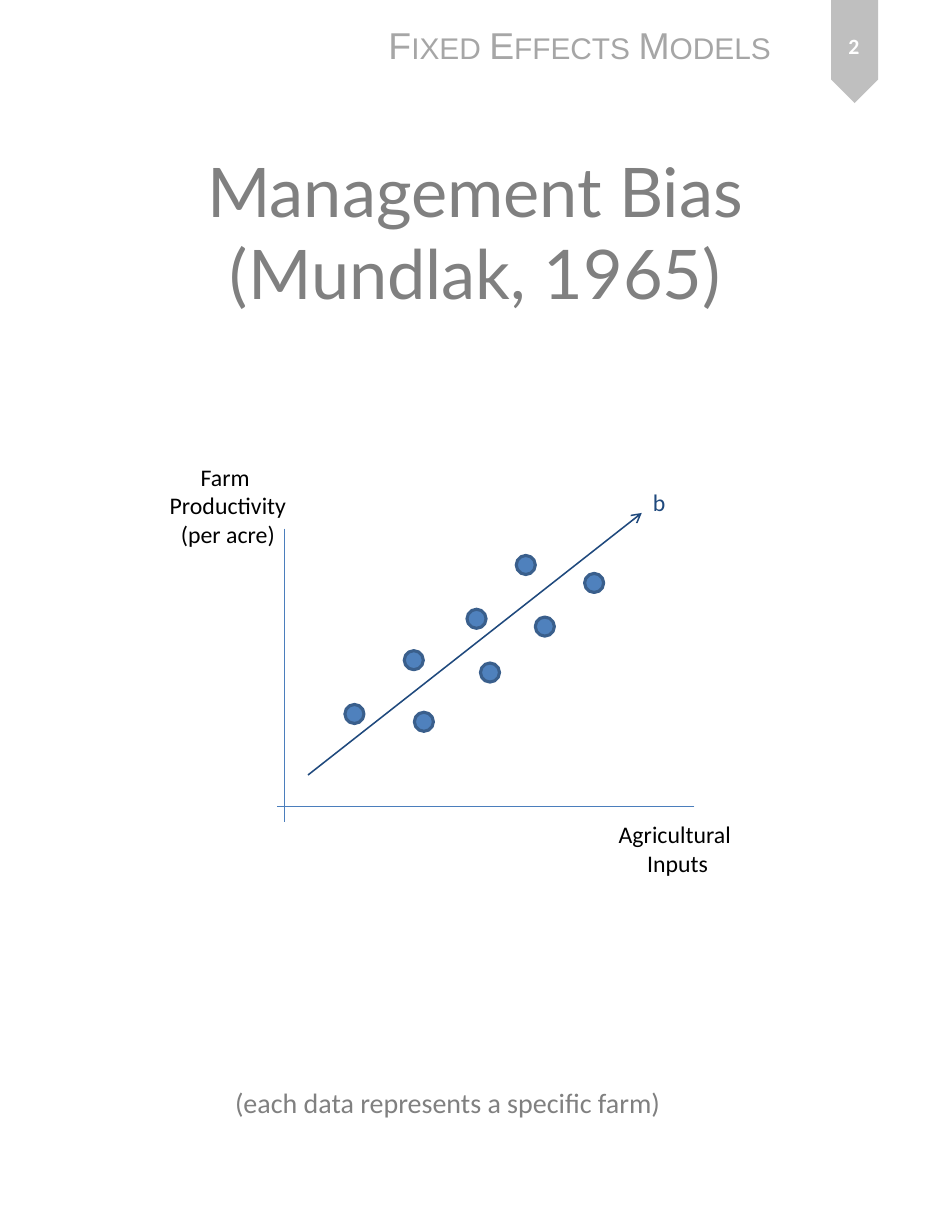
"""Build the Management Bias slide: a scatter of farms around a rising trend line."""
from lxml.etree import SubElement
from pptx import Presentation
from pptx.dml.color import RGBColor
from pptx.enum.shapes import MSO_CONNECTOR, MSO_SHAPE
from pptx.enum.text import MSO_ANCHOR, PP_ALIGN
from pptx.oxml.ns import qn
from pptx.util import Inches, Pt

COLORS = {
    "ribbon": "BFBFBF", "header": "A6A6A6", "heading": "808080", "axis": "4B7EBC",
    "trend": "1F497D", "dot": "4F81BD", "dot_edge": "3A5F8C", "label": "000000",
    "number": "FFFFFF",
}
DOT_SIZE = 0.17

deck = Presentation()
deck.slide_width, deck.slide_height = Inches(8.5), Inches(11)
slide = deck.slides.add_slide(deck.slide_layouts[6])


def color(name):
    return RGBColor.from_string(COLORS[name])


def add_text(text, left, top, width, height, *, size=15.3, font="Calibri", ink="label",
             align=PP_ALIGN.LEFT, anchor=MSO_ANCHOR.TOP, wrap=False, bold=False,
             small_caps=False):
    frame = slide.shapes.add_textbox(
        Inches(left), Inches(top), Inches(width), Inches(height)).text_frame
    frame.word_wrap = wrap
    frame.vertical_anchor = anchor
    frame.text = text
    for paragraph in frame.paragraphs:
        paragraph.alignment = align
        for run in paragraph.runs:
            run.font.size = Pt(size)
            run.font.name = font
            run.font.bold = bold
            run.font.color.rgb = color(ink)
            if small_caps:
                run.font._element.set("cap", "small")


ribbon = slide.shapes.add_shape(
    MSO_SHAPE.PENTAGON, Inches(7.17), Inches(0.25), Inches(0.92), Inches(0.42))
ribbon.rotation = 90
ribbon.shadow.inherit = False
ribbon.fill.solid()
ribbon.fill.fore_color.rgb = color("ribbon")
ribbon.line.fill.background()

add_text("Fixed Effects Models", 3.37, 0.15, 3.68, 0.5, size=24, font="Arial",
         ink="header", small_caps=True)
add_text("Management Bias (Mundlak, 1965)", 0.42, 1.15, 7.65, 1.83, size=44, font="Lato",
         ink="heading", align=PP_ALIGN.CENTER, anchor=MSO_ANCHOR.MIDDLE, wrap=True)
add_text("2", 7.29, 0.11, 0.67, 0.59, size=14, ink="number", bold=True,
         align=PP_ALIGN.CENTER, anchor=MSO_ANCHOR.MIDDLE, wrap=True)

for start_x, start_y, end_x, end_y, ink, weight in [
    (2.54, 4.72, 2.54, 7.34, "axis", 0.75),
    (6.2, 7.2, 2.47, 7.2, "axis", 0.75),
    (2.75, 6.92, 5.73, 4.58, "trend", 1),
]:
    line = slide.shapes.add_connector(
        MSO_CONNECTOR.STRAIGHT, Inches(start_x), Inches(start_y), Inches(end_x), Inches(end_y))
    line.line.color.rgb = color(ink)
    line.line.width = Pt(weight)
    if ink == "trend":
        SubElement(line.line._get_or_add_ln(), qn("a:tailEnd"), type="arrow")
    SubElement(line._element.spPr, qn("a:effectLst"))

add_text("Agricultural \nInputs", 5.42, 7.27, 1.26, 0.62, align=PP_ALIGN.CENTER)
add_text("Farm \nProductivity\n(per acre)", 1.41, 4.08, 1.25, 0.87, align=PP_ALIGN.CENTER)
add_text("b", 5.73, 4.31, 0.31, 0.36, ink="trend")

for left, top in [(4.78, 5.51), (4.17, 5.44), (4.29, 5.92), (3.61, 5.81),
                  (3.7, 6.36), (3.08, 6.29), (4.61, 4.96), (5.22, 5.12)]:
    farm = slide.shapes.add_shape(
        MSO_SHAPE.OVAL, Inches(left), Inches(top), Inches(DOT_SIZE), Inches(DOT_SIZE))
    farm.shadow.inherit = False
    farm.fill.solid()
    farm.fill.fore_color.rgb = color("dot")
    farm.line.color.rgb = color("dot_edge")
    farm.line.width = Pt(2)

add_text("(each data represents a specific farm)", 2, 9.64, 4.05, 0.4, size=18, ink="heading")

deck.save("out.pptx")
